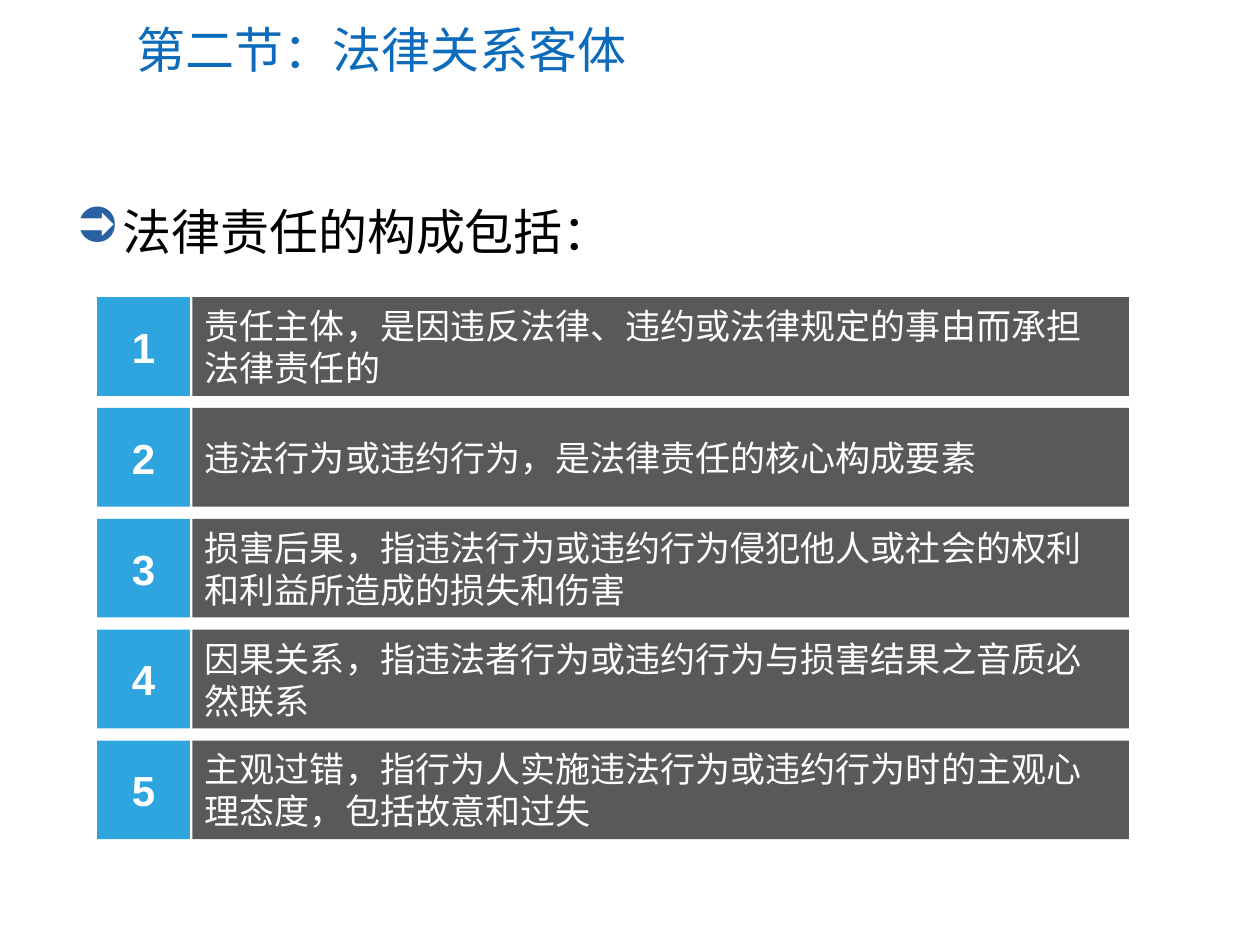
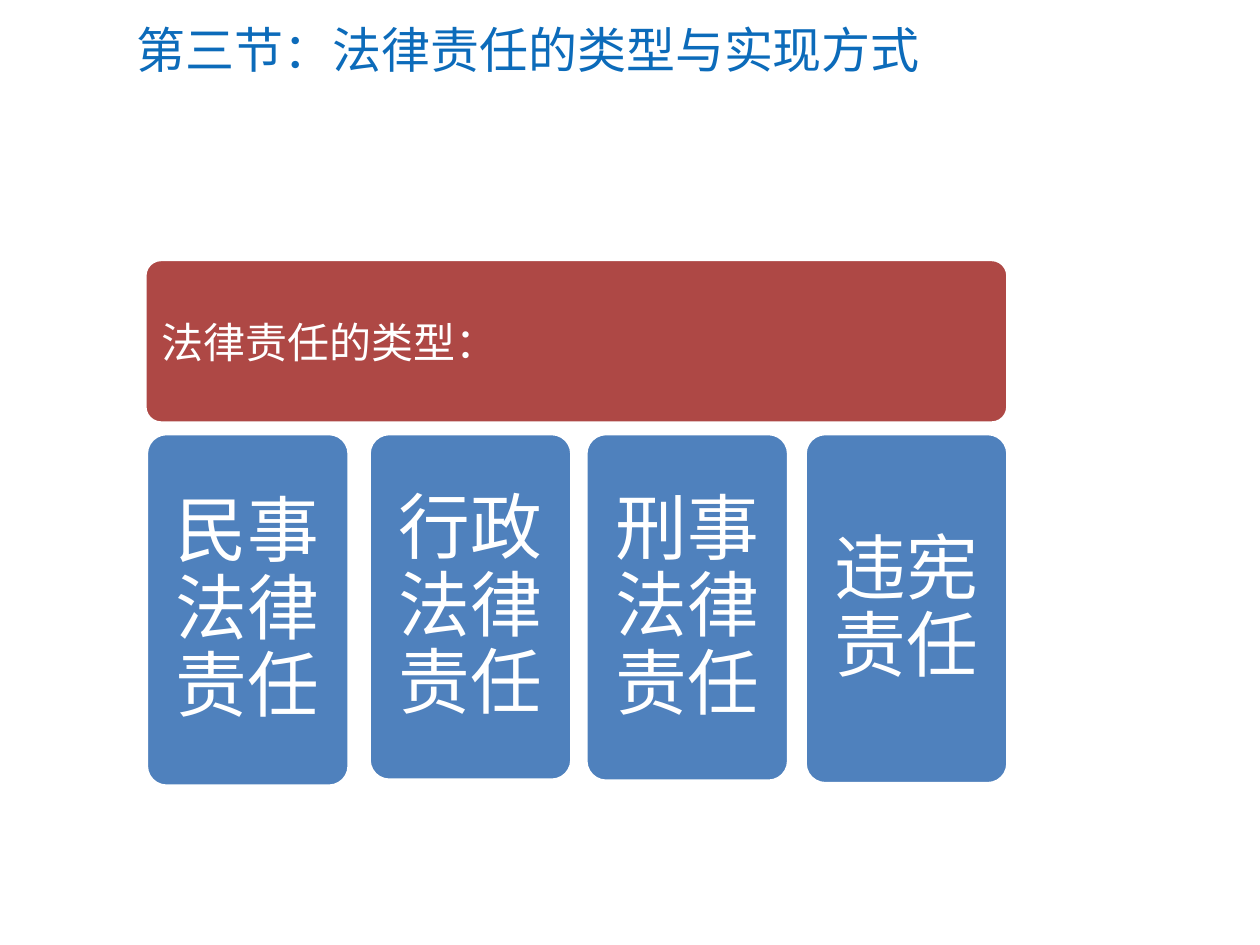
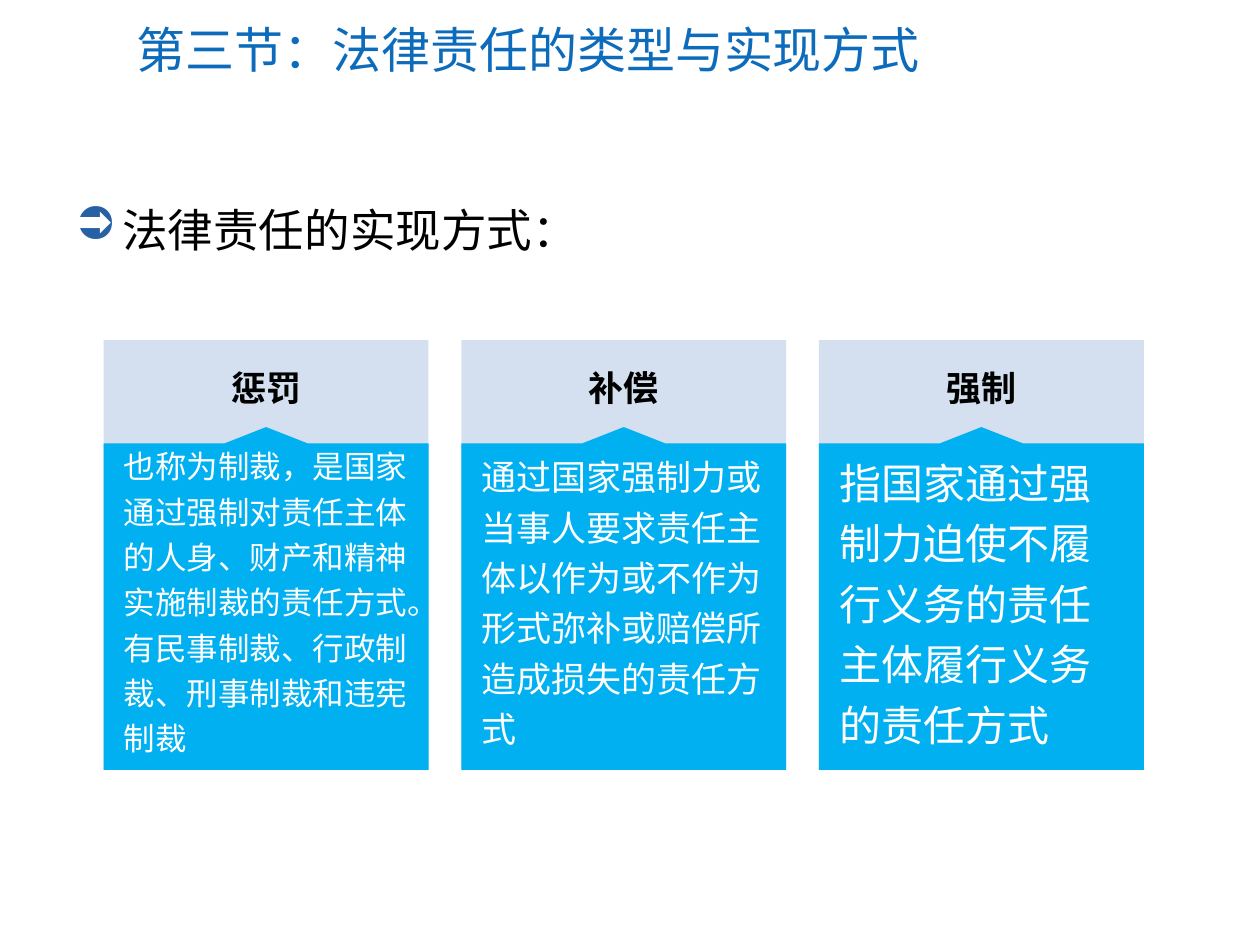
from lxml import etree
from pptx import Presentation
from pptx import util as u
from pptx.dml.color import RGBColor
from pptx.enum import lang, shapes, text
from pptx.oxml import ns

C = {"title": "0C6BBA", "bullet": "2860A4", "black": "000000", "white": "FFFFFF",
     "number": "2EA5DF", "grey": "595959", "red": "AE4845", "blue": "4F81BD",
     "pale": "95B3D7", "cyan": "00B0F0"}
MID, TOP = text.MSO_ANCHOR.MIDDLE, text.MSO_ANCHOR.TOP
CENTER, LEFT = text.PP_ALIGN.CENTER, text.PP_ALIGN.LEFT
RECT, ROUND = shapes.MSO_SHAPE.RECTANGLE, shapes.MSO_SHAPE.ROUNDED_RECTANGLE
LINE = 1.2  # height of a single line, in font sizes


def put_text(sp, words, size=20, font="Calibri", color="white", bold=False, align=LEFT,
             anchor=MID, spacing=None, inset=(0.25, 0.13, 0.25, 0.13), bullet=None):
    """Write one paragraph into a shape; inset is left, top, right, bottom in cm."""
    tf = sp.text_frame
    tf.word_wrap, tf.vertical_anchor = True, anchor
    tf.margin_left, tf.margin_top, tf.margin_right, tf.margin_bottom = map(u.Cm, inset)
    p = tf.paragraphs[0]
    p.alignment = align
    if spacing:
        p.line_spacing = u.Pt(round(size * LINE * spacing, 1))
    if bullet:
        pPr = p._p.get_or_add_pPr()
        pPr.set("marL", str(u.Cm(0.95)))
        pPr.set("indent", str(-u.Cm(0.95)))
        clr = etree.SubElement(pPr, ns.qn("a:buClr"))
        etree.SubElement(clr, ns.qn("a:srgbClr"), val=C["bullet"])
        etree.SubElement(pPr, ns.qn("a:buChar"), char=bullet)
    r = p.add_run()
    r.text = words
    r.font.size, r.font.name, r.font.bold = u.Pt(size), font, bold
    r.font.color.rgb = RGBColor.from_string(C[color])
    r.font.language_id = lang.MSO_LANGUAGE_ID.SIMPLIFIED_CHINESE
    r.font._element.find(ns.qn("a:latin")).addnext(
        etree.Element(ns.qn("a:ea"), typeface=font))


def paint(sp, fill, line=None):
    """Give a shape a flat fill, and a 2 pt line or none."""
    sp.shadow.inherit = False
    sp.fill.solid()
    sp.fill.fore_color.rgb = RGBColor.from_string(C[fill])
    if line:
        sp.line.color.rgb = RGBColor.from_string(C[line])
        sp.line.width = u.Pt(2)
    else:
        sp.line.fill.background()
    return sp


prs = Presentation()
prs.slide_width, prs.slide_height = u.Cm(25.4), u.Cm(19.05)

# Titles and lead lines of all slides
pages = [
    ("第二节：法律关系客体", "法律责任的构成包括：", 28),
    ("第三节：法律责任的类型与实现方式", None, None),
    ("第三节：法律责任的类型与实现方式", "法律责任的实现方式：", 26),
]
for title, lead, size in pages:
    s = prs.slides.add_slide(prs.slide_layouts[6])
    sp = s.shapes.add_textbox(u.Cm(2.51), u.Cm(0.25), u.Cm(22.15), u.Cm(1.47))
    put_text(sp, title, size=28, color="title")
    if lead:
        sp = s.shapes.add_textbox(u.Cm(1.27), u.Cm(3.94), u.Cm(22.86), u.Cm(1.7))
        put_text(sp, lead, size=size, color="black", anchor=TOP, bullet="➲")
elements_slide, types_slide, means_slide = prs.slides

# Slide 1: numbered elements of liability
elements = [
    "责任主体，是因违反法律、违约或法律规定的事由而承担法律责任的",
    "违法行为或违约行为，是法律责任的核心构成要素",
    "损害后果，指违法行为或违约行为侵犯他人或社会的权利和利益所造成的损失和伤害",
    "因果关系，指违法者行为或违约行为与损害结果之音质必然联系",
    "主观过错，指行为人实施违法行为或违约行为时的主观心理态度，包括故意和过失",
]
for i, words in enumerate(elements):
    top, height = u.Cm(5.99 + 2.235 * i), u.Cm(1.99)
    sp = elements_slide.shapes.add_shape(RECT, u.Cm(1.96), top, u.Cm(1.87), height)
    put_text(paint(sp, "number"), str(i + 1), size=24, font="Arial", bold=True, align=CENTER)
    sp = elements_slide.shapes.add_shape(RECT, u.Cm(3.88), top, u.Cm(18.88), height)
    put_text(paint(sp, "grey"), words, spacing=1, inset=(0.25, 0.13, 0.4, 0.13))

# Slide 2: heading block over four types
sp = types_slide.shapes.add_shape(ROUND, u.Cm(2.92), u.Cm(5.23), u.Cm(17.4), u.Cm(3.3))
sp.adjustments[0] = 0.1
put_text(paint(sp, "red", "white"), "法律责任的类型：", size=24, inset=(0.25,) * 4)

types = [("民事法律责任", 2.95, 7.11), ("行政法律责任", 7.44, 6.99),
         ("刑事法律责任", 11.81, 7.01), ("违宪责任", 16.23, 7.06)]
for words, left, height in types:
    sp = types_slide.shapes.add_shape(ROUND, u.Cm(left), u.Cm(8.74), u.Cm(4.09), u.Cm(height))
    sp.adjustments[0] = 0.1
    put_text(paint(sp, "blue", "white"), words, size=41, align=CENTER, spacing=0.9,
             inset=(0.43,) * 4)

# Slide 3: three cards, each with a notched body
means = [
    ("惩罚", 18, "也称为制裁，是国家通过强制对责任主体的人身、财产和精神实施制裁的责任方式。"
                 "有民事制裁、行政制裁、刑事制裁和违宪制裁"),
    ("补偿", 20, "通过国家强制力或当事人要求责任主体以作为或不作为形式弥补或赔偿所造成损失的责任方式"),
    ("强制", 24, "指国家通过强制力迫使不履行义务的责任主体履行义务的责任方式"),
]
width, peak, shoulder, bottom = 6.55, 8.61, 8.94, 15.52
for i, (name, size, words) in enumerate(means):
    left = 2.09 + 7.21 * i
    mid, right = left + width / 2, left + width

    # Pale backing
    sp = means_slide.shapes.add_shape(RECT, u.Cm(left), u.Cm(6.86), u.Cm(width), u.Cm(8.66))
    clr = paint(sp, "pale")._element.spPr.find(".//" + ns.qn("a:srgbClr"))
    etree.SubElement(clr, ns.qn("a:alpha"), val="40000")

    # Body with a peak in its top edge
    outline = [(mid + 0.84, shoulder), (right, shoulder), (right, bottom),
               (left, bottom), (left, shoulder), (mid - 0.84, shoulder)]
    fb = means_slide.shapes.build_freeform(u.Cm(mid), u.Cm(peak))
    fb.add_line_segments([(u.Cm(x), u.Cm(y)) for x, y in outline], close=True)
    put_text(paint(fb.convert_to_shape(), "cyan"), words, size=size, spacing=1.2,
             inset=(0.41, 0.13, 0.41, 0.13))

    # Card heading
    sp = means_slide.shapes.add_textbox(u.Cm(left), u.Cm(7.26), u.Cm(width), u.Cm(1.12))
    put_text(sp, name, font="Noto Sans CJK SC", color="black", bold=True, align=CENTER)

prs.save("out.pptx")
